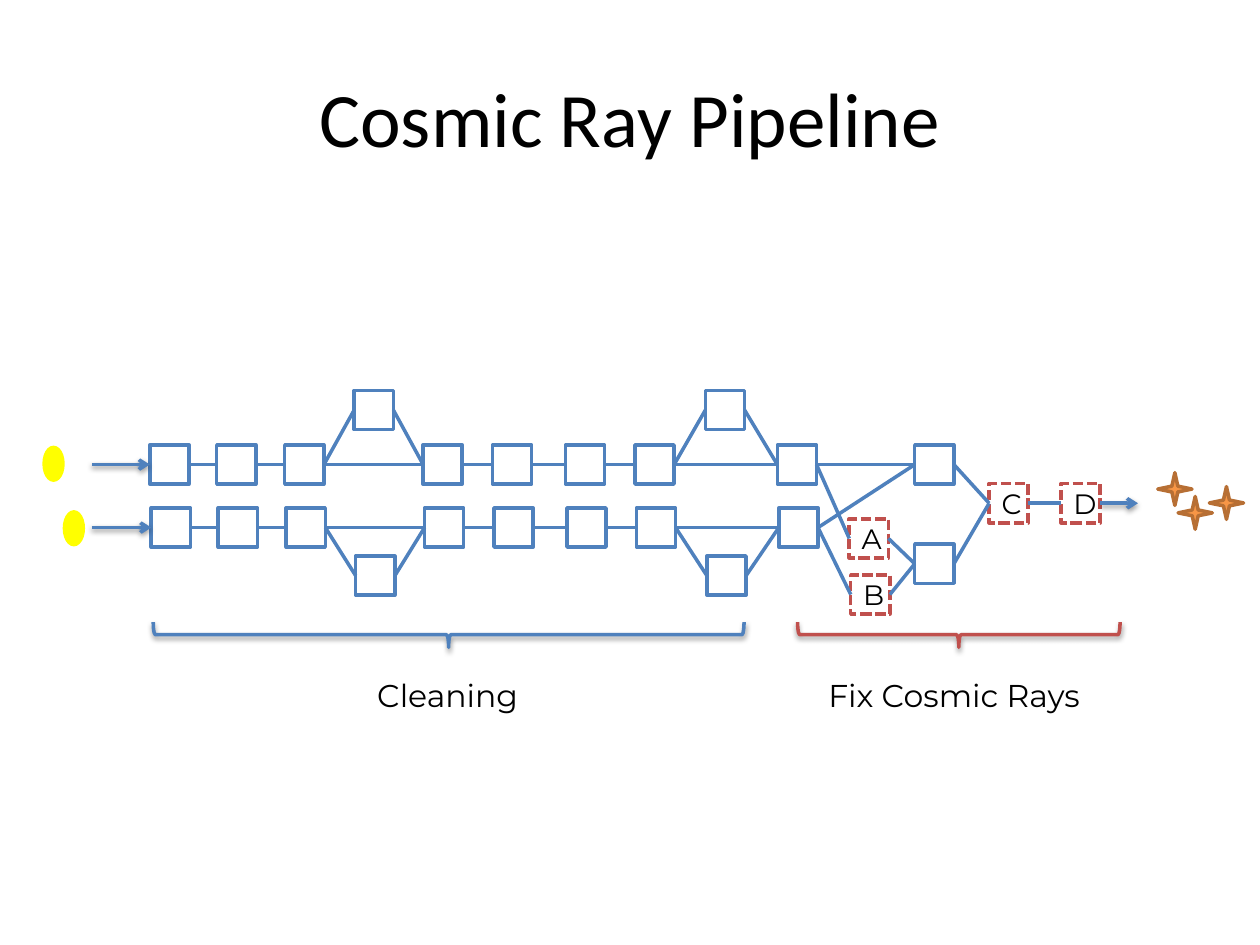
from itertools import pairwise

from lxml.etree import SubElement
from pptx import Presentation
from pptx.dml.color import RGBColor
from pptx.enum.dml import MSO_LINE
from pptx.enum.shapes import MSO_CONNECTOR, MSO_SHAPE
from pptx.enum.text import MSO_ANCHOR, PP_ALIGN
from pptx.oxml.ns import qn
from pptx.util import Cm, Pt

BLACK = RGBColor(0x00, 0x00, 0x00)
WHITE = RGBColor(0xFF, 0xFF, 0xFF)
BLUE = RGBColor(0x4F, 0x81, 0xBD)
RED = RGBColor(0xC0, 0x50, 0x4D)
YELLOW = RGBColor(0xFF, 0xFF, 0x00)
ORANGE = RGBColor(0xF7, 0x96, 0x46)
BROWN = RGBColor(0xB7, 0x6F, 0x34)

NODE = 0.79
STEP_OFFSETS = [0, 1.35, 2.72, 4.12, 5.51, 6.91, 8.38, 9.78, 11.2, 12.65]
DETOURS = (3, 8)
LEFT_SIDE, RIGHT_SIDE = 1, 3


def set_effects(shape, shadowed):
    effects = SubElement(shape._element.spPr, qn("a:effectLst"))
    if shadowed:
        shadow = SubElement(effects, qn("a:outerShdw"), blurRad=str(Pt(3.1)),
                            dist=str(Pt(1.6)), dir="5400000", rotWithShape="0")
        color = SubElement(shadow, qn("a:srgbClr"), val=str(BLACK))
        SubElement(color, qn("a:alpha"), val="38000")


def format_text(frame, text, size, font_name):
    frame.text = text
    frame.vertical_anchor = MSO_ANCHOR.MIDDLE
    paragraph = frame.paragraphs[0]
    paragraph.alignment = PP_ALIGN.CENTER
    font = paragraph.runs[0].font
    font.size = Pt(size)
    font.name = font_name
    font.color.rgb = BLACK


def add_label(slide, left, top, width, height, text, size, font_name):
    label = slide.shapes.add_textbox(Cm(left), Cm(top), Cm(width), Cm(height))
    label.text_frame.word_wrap = True
    format_text(label.text_frame, text, size, font_name)


def add_figure(slide, kind, left, top, width, height, line, fill=None, shadowed=False):
    figure = slide.shapes.add_shape(kind, Cm(left), Cm(top), Cm(width), Cm(height))
    if fill is None:
        figure.fill.background()
    else:
        figure.fill.solid()
        figure.fill.fore_color.rgb = fill
    figure.line.color.rgb = line
    figure.line.width = Pt(2)
    set_effects(figure, shadowed)
    return figure


def add_node(slide, left, top, letter=None):
    color = RED if letter else BLUE
    node = add_figure(slide, MSO_SHAPE.RECTANGLE, left, top, NODE, NODE, color, WHITE)
    if letter:
        node.line.dash_style = MSO_LINE.SQUARE_DOT
        format_text(node.text_frame, letter, 16, "Montserrat")
    return node


def add_link(slide, left=0, top=0, right=0, bottom=0, arrow=False):
    link = slide.shapes.add_connector(
        MSO_CONNECTOR.STRAIGHT, Cm(left), Cm(top), Cm(right), Cm(bottom))
    link.line.color.rgb = BLUE
    link.line.width = Pt(2)
    if arrow:
        SubElement(link.line._get_or_add_ln(), qn("a:tailEnd"), type="arrow")
    set_effects(link, arrow)
    return link


def join_nodes(slide, source, target):
    link = add_link(slide)
    link.begin_connect(source, RIGHT_SIDE)
    link.end_connect(target, LEFT_SIDE)


def add_cleaning_row(slide, left, top, detour_shift):
    steps = [
        add_node(slide, left + offset, top + (detour_shift if index in DETOURS else 0))
        for index, offset in enumerate(STEP_OFFSETS)
    ]
    for source, target in pairwise(steps):
        join_nodes(slide, source, target)
    for index in DETOURS:
        join_nodes(slide, steps[index - 1], steps[index + 1])
    middle = top + NODE / 2
    entry = add_link(slide, 1.85, middle, left, middle, arrow=True)
    entry.end_connect(steps[0], LEFT_SIDE)
    return steps[-1]


def add_fixing(slide, left, top, upper_row_end, lower_row_end):
    a = add_node(slide, left, top + 1.49, "A")
    b = add_node(slide, left + 0.03, top + 2.62, "B")
    upper = add_node(slide, left + 1.32, top)
    lower = add_node(slide, left + 1.32, top + 2)
    c = add_node(slide, left + 2.82, top + 0.78, "C")
    d = add_node(slide, left + 4.27, top + 0.78, "D")
    for source, target in [
        (upper_row_end, a), (upper_row_end, upper), (lower_row_end, upper),
        (lower_row_end, b), (a, lower), (b, lower), (upper, c), (lower, c), (c, d),
    ]:
        join_nodes(slide, source, target)
    middle = top + 0.78 + NODE / 2
    result = add_link(slide, left + 5.06, middle, left + 5.82, middle, arrow=True)
    result.begin_connect(d, RIGHT_SIDE)


def add_exposures(slide, left, top):
    for dx, dy in [(0, 0), (0.41, 1.3)]:
        add_figure(slide, MSO_SHAPE.OVAL, left + dx, top + dy, 0.38, 0.66, YELLOW, YELLOW)


def add_stars(slide, left, top):
    for dx, dy in [(0.41, 0.48), (0, 0), (1.04, 0.28)]:
        add_figure(slide, MSO_SHAPE.STAR_4_POINT, left + dx, top + dy,
                   0.69, 0.66, BROWN, ORANGE)


def add_stage(slide, left, top, width, color, name, label_left, label_width):
    depth = 0.51
    brace = add_figure(slide, MSO_SHAPE.LEFT_BRACE, left + (width - depth) / 2,
                       top - (width - depth) / 2, depth, width, color, shadowed=True)
    brace.rotation = 270
    add_label(slide, label_left, top + 0.95, label_width, 1.02, name, 18, "Montserrat")


def main():
    presentation = Presentation()
    presentation.slide_width = Cm(25.4)
    presentation.slide_height = Cm(19.05)
    slide = presentation.slides.add_slide(presentation.slide_layouts[6])
    add_label(slide, 1.27, 0.76, 22.86, 3.18, "Cosmic Ray Pipeline", 44, "Calibri")
    upper_row_end = add_cleaning_row(slide, 3.02, 8.97, -1.1)
    lower_row_end = add_cleaning_row(slide, 3.05, 10.24, 0.97)
    add_fixing(slide, 17.12, 8.97, upper_row_end, lower_row_end)
    add_exposures(slide, 0.89, 9.02)
    add_stage(slide, 3.09, 12.54, 11.91, BLUE, "Cleaning", 5.28, 7.49)
    add_stage(slide, 16.08, 12.54, 6.5, RED, "Fix Cosmic Rays", 16.2, 6.07)
    add_stars(slide, 23.34, 9.53)
    presentation.save("out.pptx")


if __name__ == "__main__":
    main()
